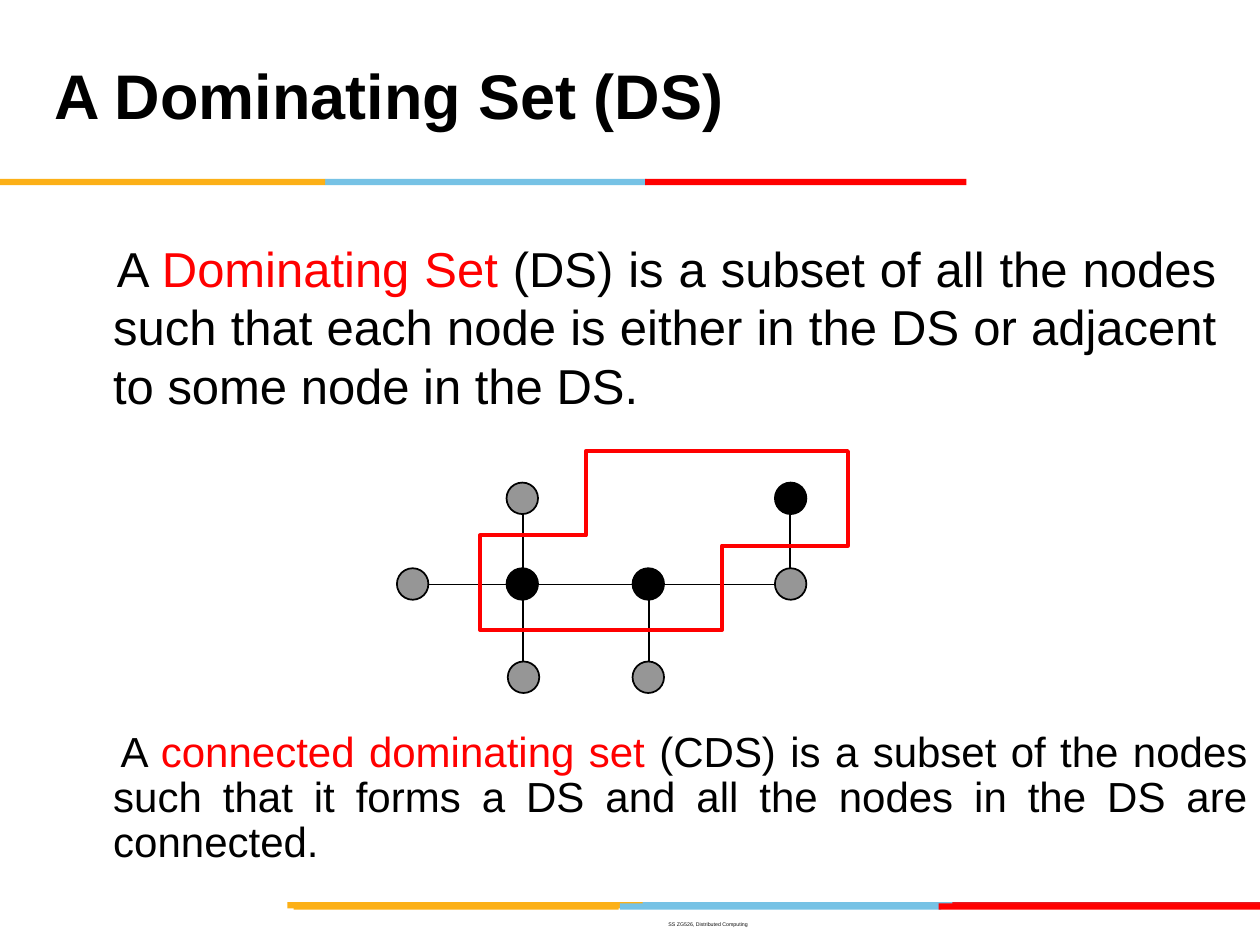
from pptx import Presentation
from pptx.dml.color import RGBColor
from pptx.enum.shapes import MSO_CONNECTOR as Connector, MSO_SHAPE as Shape
from pptx.enum.text import MSO_ANCHOR as Anchor, MSO_AUTO_SIZE as AutoSize, PP_ALIGN as Align
from pptx.oxml.ns import qn
from pptx.util import Inches, Pt
from lxml import etree

BLACK, GRAY, RED = "000000", "969696", "FF0000"
ORANGE, BLUE, CRIMSON = "FCB017", "76C2E5", "E31C24"


def color(hex_code):
    return RGBColor.from_string(hex_code)


def write(box, *runs, size, bold=False, align=Align.LEFT, anchor=Anchor.TOP,
          spacing=None, left=0, first=0):
    """Fill a box with one paragraph of (text, colour) runs."""
    frame = box.text_frame
    frame.word_wrap = True
    frame.auto_size = AutoSize.NONE
    frame.vertical_anchor = anchor
    para = frame.paragraphs[0]
    para.alignment = align
    para.line_spacing = spacing
    para.space_before = Pt(0)
    props = para._p.get_or_add_pPr()
    props.set("marL", str(Inches(left)))
    props.set("indent", str(Inches(first)))
    for text, hex_code in runs:
        span = para.add_run()
        span.text = text
        span.font.name = "Arial"
        span.font.size = Pt(size)
        span.font.bold = bold
        span.font.color.rgb = color(hex_code)


deck = Presentation()
deck.slide_width, deck.slide_height = Inches(10), Inches(7.5)
page = deck.slides.add_slide(deck.slide_layouts[5])
shapes = page.shapes

# Coloured stripes: two layers at the bottom, one under the title
stripes = [
    (5.06, 7.16, 2.55, BLUE), (7.56, 7.16, 2.44, CRIMSON), (2.28, 7.16, 2.82, ORANGE),
    (4.92, 7.17, 2.55, BLUE), (2.33, 7.17, 2.58, ORANGE), (7.45, 7.17, 2.55, RED),
    (2.58, 1.42, 2.55, BLUE), (0, 1.42, 2.58, ORANGE), (5.12, 1.42, 2.55, RED),
]
for left, top, width, fill in stripes:
    stripe = shapes.add_shape(Shape.RECTANGLE, Inches(left), Inches(top),
                              Inches(width), Inches(0.05))
    stripe.shadow.inherit = False
    stripe.fill.solid()
    stripe.fill.fore_color.rgb = color(fill)
    stripe.line.fill.background()

# Title
title = shapes.title
title.left, title.top = Inches(0.33), Inches(0.17)
title.width, title.height = Inches(6.92), Inches(1.25)
write(title, ("A Dominating Set (DS)", BLACK), size=36, bold=True,
      anchor=Anchor.MIDDLE, spacing=Pt(36))

# Definition of a dominating set
definition = shapes.add_textbox(Inches(0.42), Inches(1.84), Inches(9.33), Inches(1.66))
write(definition, ("A ", BLACK), ("Dominating Set", RED),
      (" (DS) is a subset of all the nodes such that each node is either in the DS"
       " or adjacent to some node in the DS.", BLACK),
      size=28, align=Align.JUSTIFY, left=0.38, first=0.03)

# Graph edges: from, to, line width
edges = [
    (3.4, 4.64, 4.02, 4.64, 1), (4.27, 4.64, 5.02, 4.64, 1), (5.27, 4.64, 6.15, 4.64, 1),
    (4.15, 4.08, 4.15, 4.51, 1), (6.27, 4.08, 6.27, 4.51, 1),
    (5.15, 4.76, 5.15, 5.25, 1), (4.15, 4.75, 4.15, 5.25, 0.75),
]
for x1, y1, x2, y2, weight in edges:
    edge = shapes.add_connector(Connector.STRAIGHT, Inches(x1), Inches(y1),
                                Inches(x2), Inches(y2))
    edge.line.color.rgb = color(BLACK)
    edge.line.width = Pt(weight)
    etree.SubElement(edge._element.spPr, qn("a:effectLst"))

# Graph nodes: black ones belong to the dominating set
node_size = Inches(0.25)
nodes = [
    (3.15, 4.51, GRAY), (4.02, 4.51, BLACK), (5.02, 4.51, BLACK), (6.15, 4.51, GRAY),
    (4.02, 3.83, GRAY), (6.15, 3.83, BLACK), (4.03, 5.25, GRAY), (5.02, 5.25, GRAY),
]
for left, top, fill in nodes:
    node = shapes.add_shape(Shape.OVAL, Inches(left), Inches(top), node_size, node_size)
    node.shadow.inherit = False
    node.fill.solid()
    node.fill.fore_color.rgb = color(fill)
    node.line.color.rgb = color(BLACK)
    node.line.width = Pt(1)

# Outline around the dominating set
corners = [(3.81, 4.25), (3.81, 5), (5.73, 5), (5.73, 4.33),
           (6.73, 4.33), (6.73, 3.58), (4.65, 3.58), (4.65, 4.25)]
points = [(Inches(x), Inches(y)) for x, y in corners]
builder = shapes.build_freeform(*points[0])
builder.add_line_segments(points[1:], close=True)
outline = builder.convert_to_shape()
outline.shadow.inherit = False
outline.fill.background()
outline.line.color.rgb = color(RED)
outline.line.width = Pt(2.25)

# Definition of a connected dominating set
connected = shapes.add_textbox(Inches(0.42), Inches(5.75), Inches(9.58), Inches(1.31))
write(connected, ("A ", BLACK), ("connected dominating set", RED),
      (" (CDS) is a subset of the nodes such that it forms a DS and all the nodes"
       " in the DS are connected.", BLACK),
      size=24, align=Align.JUSTIFY, spacing=0.9, left=0.38, first=0.06)

# Footer
footer = shapes.add_textbox(Inches(2.83), Inches(7.26), Inches(5.58), Inches(0.16))
write(footer, ("SS ZG526, Distributed Computing", "111111"), size=3,
      align=Align.CENTER, anchor=Anchor.MIDDLE)

deck.save("out.pptx")
